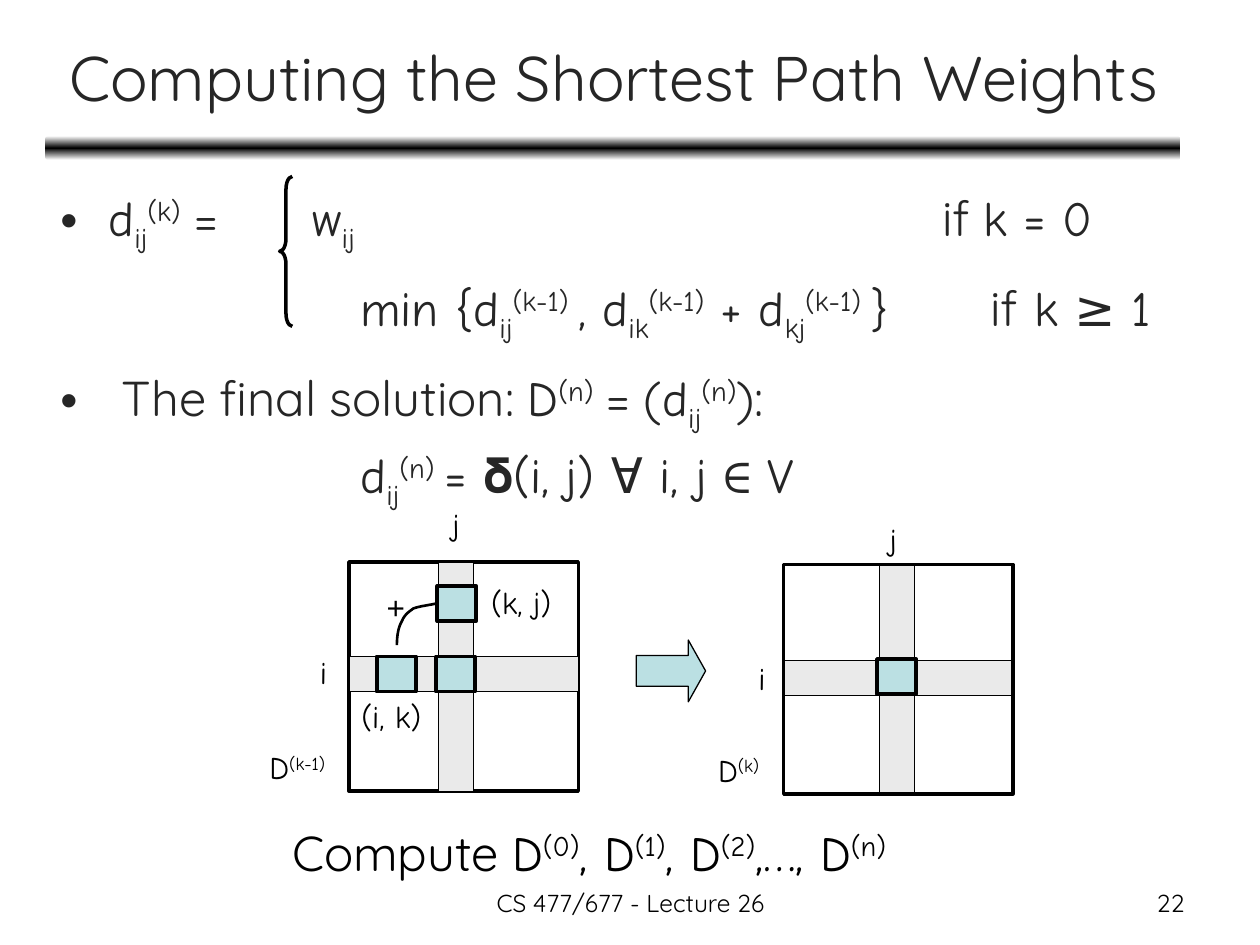
from copy import deepcopy

from lxml import etree
from pptx import Presentation
from pptx.dml.color import RGBColor
from pptx.enum.shapes import MSO_SHAPE
from pptx.enum.text import MSO_ANCHOR, MSO_AUTO_SIZE, PP_ALIGN
from pptx.oxml.ns import qn
from pptx.util import Inches, Pt

BLACK = RGBColor(0x00, 0x00, 0x00)
WHITE = RGBColor(0xFF, 0xFF, 0xFF)
CHARCOAL = RGBColor(0x26, 0x26, 0x26)
GREY = RGBColor(0xEA, 0xEA, 0xEA)
TEAL = RGBColor(0xBB, 0xE0, 0xE3)

SANS = "Quicksand"
HAND = "Comic Neue"
SUB = -25000
SUP = 30000

MATRIX_SIZE = 1.82
BAND = 0.28
CELL_WIDTH = 0.31
TAB_SIZE = str(Inches(1))

FORMULAS = [
    (True, 1.2, [("d", HAND), ("ij", HAND, SUB), ("(k)", HAND, SUP), (" = \t", SANS),
                 ("w", HAND), ("ij", HAND, SUB), ("\t\t\t\t\tif ", SANS), ("k = 0", HAND)]),
    (False, 1.2, [("\t\t\tmin {d", HAND), ("ij", HAND, SUB), ("(k-1) ", HAND, SUP),
                  (", d", HAND), ("ik", HAND, SUB), ("(k-1)", HAND, SUP),
                  (" + d", HAND), ("kj", HAND, SUB), ("(k-1) ", HAND, SUP),
                  ("}\t", HAND), ("if", SANS), (" k ≥ 1", HAND)]),
    (True, 1.2, [(" The final solution: ", SANS), ("D", HAND), ("(n)", HAND, SUP),
                 (" = (", SANS), ("d", HAND), ("ij", HAND, SUB), ("(n)", HAND, SUP),
                 ("):", SANS)]),
    (False, 1.0, [("\t\t\t", SANS), ("d", HAND), ("ij", HAND, SUB), ("(n) ", HAND, SUP),
                  ("= 𝛅(i, j) ∀ i, j ∈ V", HAND)]),
]


def set_default_tabs(presentation):
    for root in (presentation.element, presentation.slide_master.element):
        for element in root.iter():
            if element.get("defTabSz"):
                element.set("defTabSz", TAB_SIZE)


def add_run(paragraph, size, color, text, font_name, baseline=0):
    run = paragraph.add_run()
    run.text = text
    run.font.size = Pt(size)
    run.font.name = font_name
    run.font.color.rgb = color
    if baseline:
        run.font._element.set("baseline", str(baseline))


def place(shape, left, top, width, height):
    shape.left, shape.top = Inches(left), Inches(top)
    shape.width, shape.height = Inches(width), Inches(height)


def fill_title(title):
    place(title, 0.37, 0.11, 9, 0.99)
    title.text_frame.auto_size = MSO_AUTO_SIZE.NONE
    title.text_frame.vertical_anchor = MSO_ANCHOR.MIDDLE
    paragraph = title.text_frame.paragraphs[0]
    paragraph.alignment = PP_ALIGN.CENTER
    add_run(paragraph, 36, CHARCOAL, "Computing the Shortest Path Weights", SANS)


def fill_body(body):
    place(body, 0.38, 1.33, 9, 2.96)
    frame = body.text_frame
    frame.auto_size = MSO_AUTO_SIZE.NONE
    for index, (bulleted, spacing, runs) in enumerate(FORMULAS):
        paragraph = frame.add_paragraph() if index else frame.paragraphs[0]
        properties = paragraph._p.get_or_add_pPr()
        properties.set("marL", str(Inches(0.38)))
        properties.set("indent", str(Inches(-0.38)))
        properties.set("defTabSz", TAB_SIZE)
        if not bulleted:
            etree.SubElement(properties, qn("a:buNone"))
        paragraph.line_spacing = spacing
        if index == 0:
            paragraph.space_before = Pt(0)
        for run in runs:
            add_run(paragraph, 28, CHARCOAL, *run)


def add_shape(slide, kind, left, top, width, height, fill=None, line=2.0):
    shape = slide.shapes.add_shape(
        kind, Inches(left), Inches(top), Inches(width), Inches(height))
    shape.shadow.inherit = False
    if fill is None:
        shape.fill.background()
    else:
        shape.fill.solid()
        shape.fill.fore_color.rgb = fill
    shape.line.color.rgb = BLACK
    shape.line.width = Pt(line)
    return shape


def add_rectangle(slide, *position, **style):
    return add_shape(slide, MSO_SHAPE.RECTANGLE, *position, **style)


def add_title_bar(slide):
    bar = add_shape(slide, MSO_SHAPE.ROUNDED_RECTANGLE, 0.36, 1.08, 9.01, 0.19)
    bar.line.fill.background()
    bar.fill.gradient()
    bar.fill.gradient_angle = 90
    stops = bar.fill.gradient_stops
    for stop, position, color in zip(stops, (0, 0.5), (WHITE, BLACK)):
        stop.position = position
        stop.color.rgb = color
    stop_list = bar._element.spPr.find(qn("a:gradFill")).find(qn("a:gsLst"))
    last_stop = deepcopy(stop_list[0])
    last_stop.set("pos", "100000")
    stop_list.append(last_stop)


def add_label(slide, left, top, width, runs, size=18, height=0.4):
    box = slide.shapes.add_textbox(
        Inches(left), Inches(top), Inches(width), Inches(height))
    box.text_frame.word_wrap = False
    box.text_frame.auto_size = MSO_AUTO_SIZE.SHAPE_TO_FIT_TEXT
    for run in runs:
        add_run(box.text_frame.paragraphs[0], size, BLACK, *run)


def add_footer(slide, left, width, text, alignment):
    box = slide.shapes.add_textbox(Inches(left), Inches(7), Inches(width), Inches(0.35))
    box.text_frame.word_wrap = True
    paragraph = box.text_frame.paragraphs[0]
    paragraph.alignment = alignment
    add_run(paragraph, 14, BLACK, text, SANS)


def add_bands(slide, left, top, column_left, row_top):
    add_rectangle(slide, left, row_top, MATRIX_SIZE, BAND, fill=GREY, line=0.75)
    add_rectangle(slide, column_left, top, BAND, MATRIX_SIZE, fill=GREY, line=0.75)


def add_cell(slide, left, top):
    add_rectangle(slide, left, top, CELL_WIDTH, BAND, fill=TEAL)


def curve_points(start, segments, steps=8):
    points = []
    for first, second, end in segments:
        for step in range(1, steps + 1):
            t = step / steps
            points.append(tuple(
                Inches((1 - t) ** 3 * a + 3 * (1 - t) ** 2 * t * b
                       + 3 * (1 - t) * t ** 2 * c + t ** 3 * d)
                for a, b, c, d in zip(start, first, second, end)))
        start = end
    return points


def add_sum_curve(slide):
    start = (3.15, 5.12)
    segments = [
        ((3.15, 5.05), (3.16, 4.98), (3.19, 4.93)),
        ((3.21, 4.88), (3.24, 4.86), (3.28, 4.83)),
        ((3.33, 4.81), (3.43, 4.8), (3.46, 4.79)),
    ]
    builder = slide.shapes.build_freeform(Inches(start[0]), Inches(start[1]))
    builder.add_line_segments(curve_points(start, segments), close=False)
    curve = builder.convert_to_shape()
    curve.shadow.inherit = False
    curve.fill.background()
    curve.line.color.rgb = BLACK
    curve.line.width = Pt(1.5)


def add_previous_matrix(slide):
    add_rectangle(slide, 2.77, 4.46, MATRIX_SIZE, MATRIX_SIZE)
    add_bands(slide, 2.77, 4.46, 3.48, 5.21)
    for left, top in ((2.99, 5.21), (3.47, 4.65), (3.46, 5.21)):
        add_cell(slide, left, top)
    add_sum_curve(slide)
    add_label(slide, 2.97, 4.62, 0.35, [("+", "Arial")])
    add_label(slide, 2.44, 5.13, 0.27, [("i", HAND)])
    add_label(slide, 3.49, 3.96, 0.3, [("j", HAND)])
    add_label(slide, 2.77, 5.48, 0.73, [("(i, k)", HAND)])
    add_label(slide, 3.8, 4.58, 0.77, [("(k, j)", HAND)])
    add_label(slide, 2.04, 5.89, 0.74, [("D", HAND), ("(k-1)", HAND, SUP)])


def add_next_matrix(slide):
    add_bands(slide, 6.22, 4.48, 6.98, 5.24)
    add_rectangle(slide, 6.22, 4.48, MATRIX_SIZE, MATRIX_SIZE)
    add_cell(slide, 6.96, 5.23)
    add_label(slide, 5.92, 5.18, 0.27, [("i", HAND)])
    add_label(slide, 6.96, 4.08, 0.3, [("j", HAND)])
    add_label(slide, 5.6, 5.91, 0.59, [("D", HAND), ("(k)", HAND, SUP)])


def main():
    presentation = Presentation()
    presentation.slide_width, presentation.slide_height = Inches(10), Inches(7.5)
    set_default_tabs(presentation)
    slide = presentation.slides.add_slide(presentation.slide_layouts[1])
    fill_title(slide.shapes.title)
    fill_body(slide.placeholders[1])
    add_title_bar(slide)
    brace = add_shape(slide, MSO_SHAPE.LEFT_BRACE, 2.22, 1.4, 0.1, 1.19)
    brace.adjustments[0] = 1.02
    add_previous_matrix(slide)
    arrow = add_shape(slide, MSO_SHAPE.RIGHT_ARROW, 5.05, 5.08, 0.55, 0.49,
                      fill=TEAL, line=0.75)
    arrow.adjustments[1] = 0.28
    add_next_matrix(slide)
    summary = [("Compute ", SANS), ("D", HAND), ("(0)", HAND, SUP)]
    for separator, order in ((", D", "(1)"), (", D", "(2)"), (",…, D", "(n)")):
        summary += [(separator, HAND), (order, HAND, SUP)]
    add_label(slide, 2.22, 6.48, 5.68, summary, size=28, height=0.57)
    add_footer(slide, 3.42, 3.17, "CS 477/677 - Lecture 26", PP_ALIGN.CENTER)
    add_footer(slide, 7.17, 2.33, "22", PP_ALIGN.RIGHT)
    presentation.save("out.pptx")


if __name__ == "__main__":
    main()
